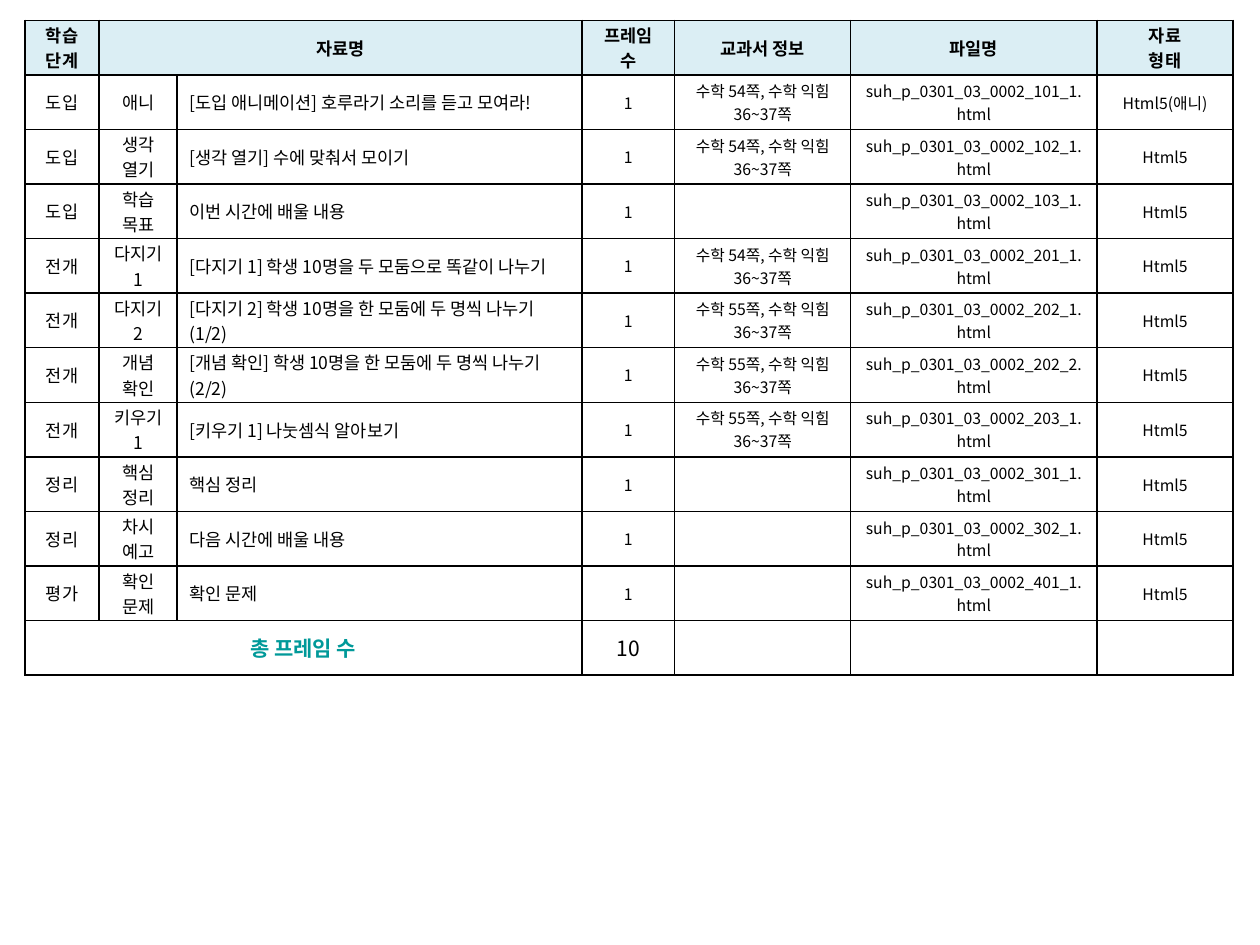
from pptx import Presentation
from pptx.dml.color import RGBColor as Rgb
from pptx.enum.text import MSO_ANCHOR as Anchor, PP_ALIGN as Align
from pptx.oxml.ns import qn
from pptx.util import Cm, Pt
from lxml.etree import SubElement as Sub

FONT = "Noto Sans CJK KR"
INK, TEAL, SKY, WHITE = "000000", "009999", "DBEEF4", "FFFFFF"
COLS = [1.5, 1.57, 8.16, 1.87, 3.55, 4.96, 2.75]
ROW = 1.1
HEAD = ["학습 단계", "자료명", "", "프레임 수", "교과서 정보", "파일명", "자료\n형태"]
BOOK = "수학 {}쪽, 수학 익힘 36~37쪽"
FILE = "suh_p_0301_03_0002_{}.html"
ITEMS = [
    ("도입", "애니", "[도입 애니메이션] 호루라기 소리를 듣고 모여라!", 54, "101_1", "Html5(애니)"),
    ("도입", "생각 열기", "[생각 열기] 수에 맞춰서 모이기", 54, "102_1", "Html5"),
    ("도입", "학습 목표", "이번 시간에 배울 내용", None, "103_1", "Html5"),
    ("전개", "다지기 1", "[다지기 1] 학생 10명을 두 모둠으로 똑같이 나누기", 54, "201_1", "Html5"),
    ("전개", "다지기 2", "[다지기 2] 학생 10명을 한 모둠에 두 명씩 나누기 (1/2)", 55, "202_1", "Html5"),
    ("전개", "개념 확인", "[개념 확인] 학생 10명을 한 모둠에 두 명씩 나누기 (2/2)", 55, "202_2", "Html5"),
    ("전개", "키우기1", "[키우기 1] 나눗셈식 알아보기", 55, "203_1", "Html5"),
    ("정리", "핵심 정리", "핵심 정리", None, "301_1", "Html5"),
    ("정리", "차시 예고", "다음 시간에 배울 내용", None, "302_1", "Html5"),
    ("평가", "확인 문제", "확인 문제", None, "401_1", "Html5"),
]


def color(code):
    return Rgb.from_string(code)


def edge(cell):
    props = cell._tc.get_or_add_tcPr()
    for at, side in enumerate(("lnL", "lnR", "lnT", "lnB")):
        line = props.makeelement(qn("a:" + side), {"w": str(Pt(1))})
        fill = Sub(line, qn("a:solidFill"))
        Sub(fill, qn("a:srgbClr"), val=INK)
        props.insert(at, line)


def style(cell, fill):
    cell.fill.solid()
    cell.fill.fore_color.rgb = color(fill)
    cell.vertical_anchor = Anchor.MIDDLE
    cell.margin_left = cell.margin_right = Cm(0.25)
    cell.margin_top = cell.margin_bottom = Cm(0.02)
    edge(cell)


def write(cell, text, size, bold=False, ink=INK, align=Align.CENTER):
    frame = cell.text_frame
    for i, part in enumerate(text.split("\n")):
        para = frame.add_paragraph() if i else frame.paragraphs[0]
        para.alignment = align
        if not part:
            continue
        run = para.add_run()
        run.text = part
        font = run.font
        font.name, font.size, font.bold = FONT, Pt(size), bold
        font.color.rgb = color(ink)
        Sub(run._r.get_or_add_rPr(), qn("a:ea"), typeface=FONT)


def add_grid(slide):
    count = len(ITEMS) + 2
    frame = slide.shapes.add_table(
        count, len(COLS), Cm(0.5), Cm(0.41), Cm(sum(COLS)), Cm(ROW * count))
    grid = frame.table
    grid.horz_banding = False
    for col, wide in zip(grid.columns, COLS):
        col.width = Cm(wide)
    for i, row in enumerate(grid.rows):
        row.height = Cm(ROW)
        for cell in row.cells:
            style(cell, WHITE if i else SKY)
    return grid


def fill_head(grid):
    grid.cell(0, 1).merge(grid.cell(0, 2))
    for j, text in enumerate(HEAD):
        write(grid.cell(0, j), text, 10, bold=True)


def fill_items(grid):
    for i, (step, kind, name, page, code, form) in enumerate(ITEMS, 1):
        book = BOOK.format(page) if page else ""
        texts = (step, kind, name, "1", book, FILE.format(code), form)
        for j, text in enumerate(texts):
            align = Align.LEFT if j == 2 else Align.CENTER
            write(grid.cell(i, j), text, 10 if j < 3 else 9, align=align)


def fill_total(grid):
    last = len(ITEMS) + 1
    grid.cell(last, 0).merge(grid.cell(last, 2))
    write(grid.cell(last, 0), "총 프레임 수", 12, bold=True, ink=TEAL)
    write(grid.cell(last, 3), str(len(ITEMS)), 12)


def main():
    deck = Presentation()
    deck.slide_width, deck.slide_height = Cm(25.4), Cm(19.05)
    slide = deck.slides.add_slide(deck.slide_layouts[6])
    grid = add_grid(slide)
    fill_head(grid)
    fill_items(grid)
    fill_total(grid)
    deck.save("out.pptx")


if __name__ == "__main__":
    main()
